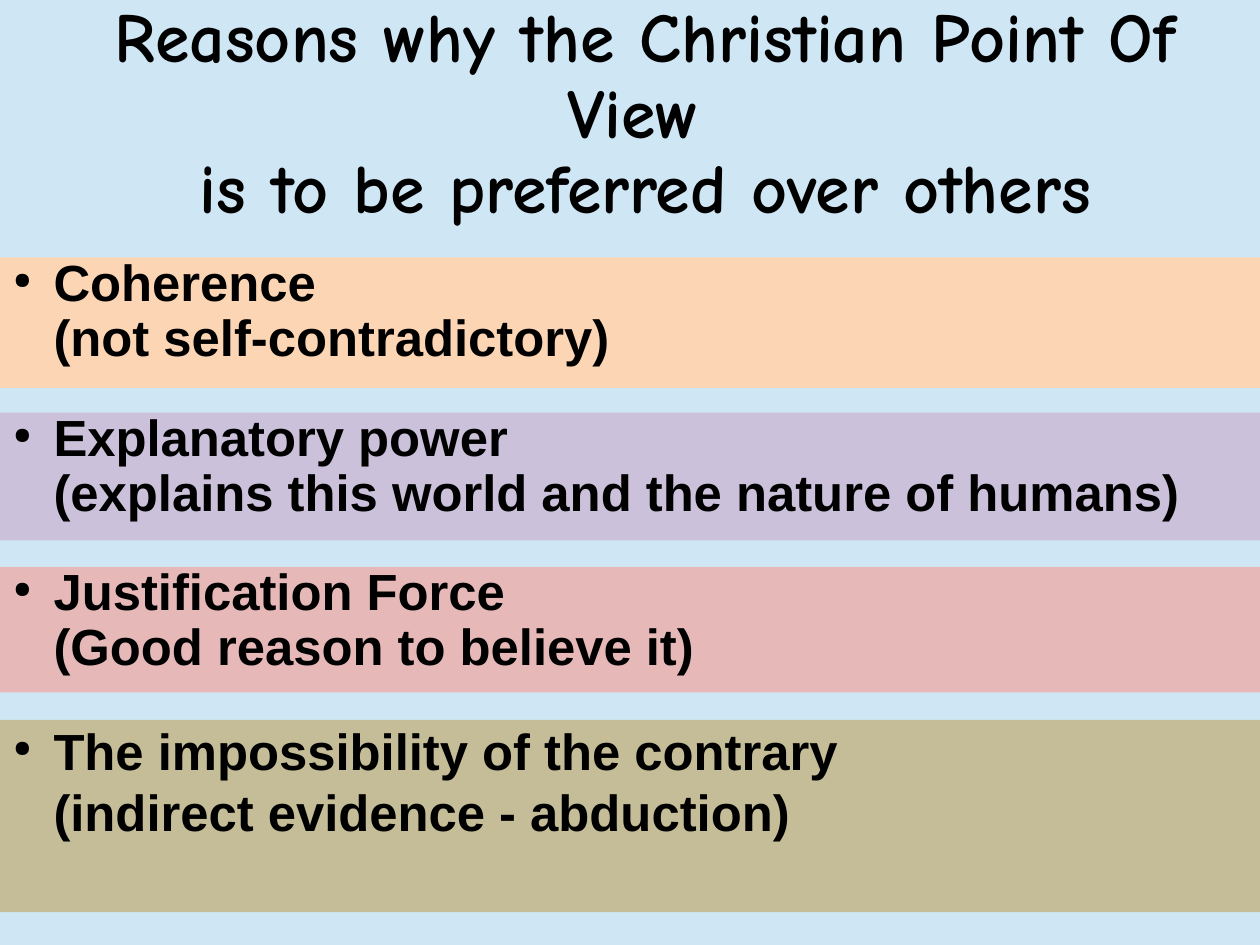
from lxml import etree
from pptx import Presentation
from pptx.dml.color import RGBColor
from pptx.enum.shapes import MSO_SHAPE
from pptx.enum.text import MSO_ANCHOR, MSO_AUTO_SIZE, PP_ALIGN
from pptx.oxml.ns import qn
from pptx.util import Cm, Pt

RECTANGLE = MSO_SHAPE.RECTANGLE
TOP, MIDDLE = MSO_ANCHOR.TOP, MSO_ANCHOR.MIDDLE
LEFT, CENTER = PP_ALIGN.LEFT, PP_ALIGN.CENTER
NO_AUTOFIT = MSO_AUTO_SIZE.NONE

# Content ("\v" is a line break)
WIDTH, HEIGHT = 28, 21
BACKGROUND, TEXT_COLOR = "CFE7F5", "000000"
TITLE = "Reasons why the Christian Point Of View \vis to be preferred over others"
# text, fill, top (cm), height (cm), line spacing, space before (pt)
REASONS = [
    ("Coherence \v(not self-contradictory)", "FCD5B5", 5.72, 2.9, 0.9, 10),
    ("Explanatory power \v(explains this world and the nature of humans)",
     "CCC1DA", 9.17, 2.84, 0.9, 10),
    ("Justification Force\v(Good reason to believe it)", "E6B9B8", 12.6, 2.79, 0.9, 10),
    ("The impossibility of the contrary\v(indirect evidence - abduction)",
     "C4BD97", 16, 4.27, 1.0, 0),
]


def set_color(color_format, value):
    color_format.rgb = RGBColor.from_string(value)


def fill_solid(fill, value):
    fill.solid()
    set_color(fill.fore_color, value)


def write_text(shape, text, font_name, size, anchor, alignment, line_spacing):
    frame = shape.text_frame
    frame.text = text
    frame.word_wrap = True
    frame.auto_size = NO_AUTOFIT
    frame.vertical_anchor = anchor
    frame.margin_left = frame.margin_right = frame.margin_top = frame.margin_bottom = 0
    paragraph = frame.paragraphs[0]
    paragraph.alignment = alignment
    paragraph.line_spacing = line_spacing
    for run in paragraph.runs:
        run.font.name = font_name
        run.font.size = Pt(size)
        run.font.bold = True
        set_color(run.font.color, TEXT_COLOR)
    return paragraph


def add_bullet(paragraph):
    properties = paragraph._p.get_or_add_pPr()
    properties.set("marL", str(Cm(1.19)))
    properties.set("indent", str(-Cm(0.89)))
    color = etree.SubElement(properties, qn("a:buClr"))
    etree.SubElement(color, qn("a:srgbClr"), val=TEXT_COLOR)
    etree.SubElement(properties, qn("a:buSzPct"), val="45000")
    etree.SubElement(properties, qn("a:buChar"), char="●")


presentation = Presentation()
presentation.slide_width, presentation.slide_height = Cm(WIDTH), Cm(HEIGHT)
slide = presentation.slides.add_slide(presentation.slide_layouts[5])
fill_solid(slide.background.fill, BACKGROUND)

# Title
title = slide.shapes.title
title.left, title.top, title.width, title.height = Cm(1.4), Cm(-0.03), Cm(25.9), Cm(5.2)
write_text(title, TITLE, "Comic Neue", 44, MIDDLE, CENTER, 0.9)

# Full-width bands, one per reason
for text, color, top, height, line_spacing, space_before in REASONS:
    band = slide.shapes.add_shape(RECTANGLE, 0, Cm(top), Cm(WIDTH), Cm(height))
    band.shadow.inherit = False
    band.line.fill.background()
    fill_solid(band.fill, color)
    paragraph = write_text(band, text, "Arial", 32, TOP, LEFT, line_spacing)
    paragraph.space_before = Pt(space_before)
    paragraph.space_after = Pt(14.2)
    add_bullet(paragraph)

presentation.save("out.pptx")
